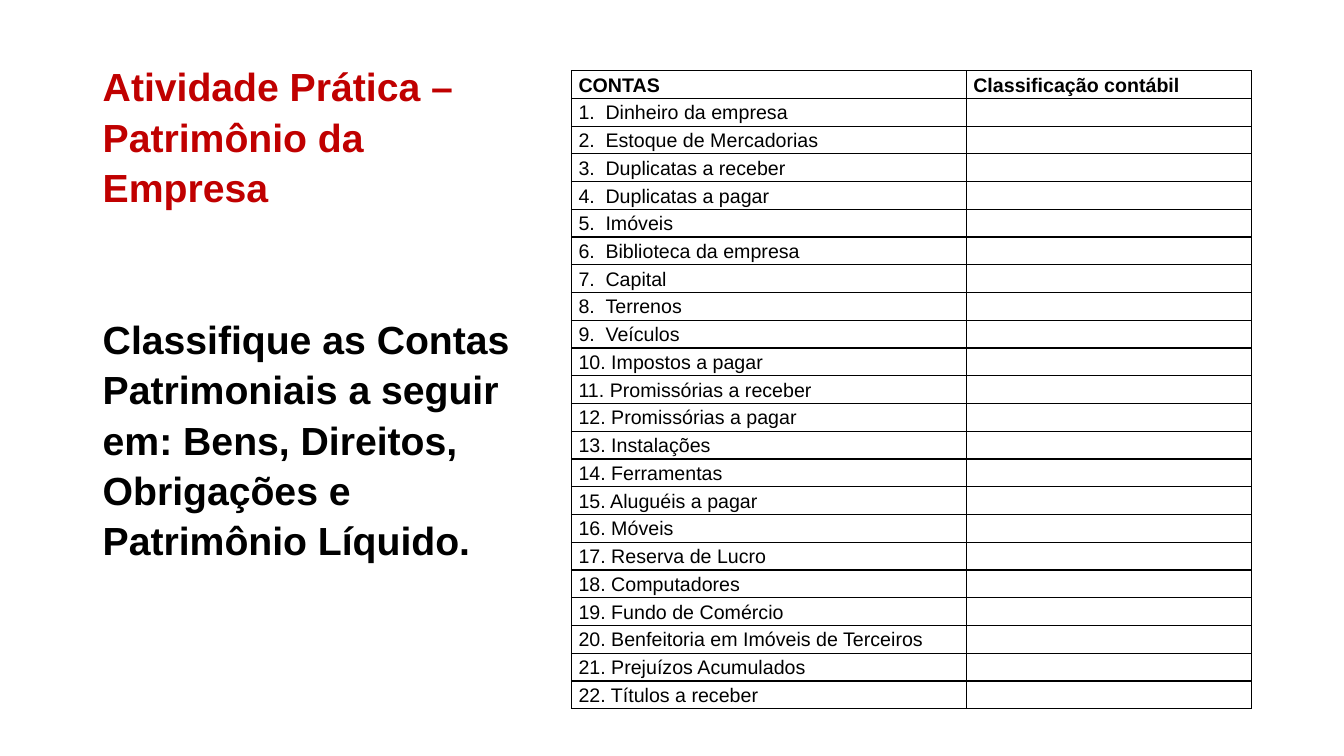
import pptx
import pptx.dml.color
import pptx.enum.text
import pptx.oxml
import pptx.oxml.ns
import pptx.util
from lxml import etree
from pptx.util import Cm

COLORS = {"heading": "C00000", "text": "000000", "border": "000000"}
FONT = "Arial"
ROW_HEIGHT = Cm(0.7)
COLUMN_WIDTHS = (Cm(9.95), Cm(7.19))
ACCOUNTS = (
    "Dinheiro da empresa", "Estoque de Mercadorias", "Duplicatas a receber",
    "Duplicatas a pagar", "Imóveis", "Biblioteca da empresa", "Capital",
    "Terrenos", "Veículos", "Impostos a pagar", "Promissórias a receber",
    "Promissórias a pagar", "Instalações", "Ferramentas", "Aluguéis a pagar",
    "Móveis", "Reserva de Lucro", "Computadores", "Fundo de Comércio",
    "Benfeitoria em Imóveis de Terceiros", "Prejuízos Acumulados",
    "Títulos a receber",
)


def add_element(parent, tag, **attributes):
    return etree.SubElement(parent, pptx.oxml.ns.qn(tag), **attributes)


def style_font(font, size, color, bold):
    font.name = FONT
    font.size = pptx.util.Pt(size)
    font.bold = bold
    font.color.rgb = pptx.dml.color.RGBColor.from_string(COLORS[color])


def add_instructions(slide):
    frame = slide.shapes.add_textbox(Cm(2.34), Cm(1.49), Cm(10.92), Cm(12.7)).text_frame
    frame.word_wrap = True
    frame.margin_top = frame.margin_bottom = 0
    heading = frame.paragraphs[0]
    task = frame.add_paragraph()
    heading.text = "Atividade Prática – Patrimônio da Empresa"
    task.text = ("Classifique as Contas Patrimoniais a seguir em: Bens, Direitos, "
                 "Obrigações e Patrimônio Líquido.")
    task.space_before = pptx.util.Pt(72.5)
    for paragraph, color in ((heading, "heading"), (task, "text")):
        paragraph.line_spacing = pptx.util.Pt(36)
        style_font(paragraph.font, 28, color, True)


def draw_borders(cell):
    properties = cell._tc.get_or_add_tcPr()
    for side in ("a:lnL", "a:lnR", "a:lnT", "a:lnB"):
        line = add_element(properties, side, w=str(pptx.util.Pt(1)))
        fill = add_element(line, "a:solidFill")
        add_element(fill, "a:srgbClr", val=COLORS["border"])


def fill_cell(cell, text, bold=False):
    draw_borders(cell)
    cell.fill.background()
    cell.margin_left = cell.margin_right = Cm(0.18)
    cell.margin_top = cell.margin_bottom = 0
    cell.vertical_anchor = pptx.enum.text.MSO_ANCHOR.MIDDLE
    paragraph = cell.text_frame.paragraphs[0]
    paragraph.text = text
    paragraph.line_spacing = 1.07
    if "\t" in text:
        tabs = add_element(paragraph._p.get_or_add_pPr(), "a:tabLst")
        add_element(tabs, "a:tab", pos=str(Cm(0.68)), algn="l")
    style_font(paragraph.font, 14, "text", bold)
    if not text:
        # Keeps an empty cell from growing past the row height
        add_element(paragraph._p, "a:endParaRPr", sz="1400")


def add_accounts_table(slide):
    rows = len(ACCOUNTS) + 1
    table = slide.shapes.add_table(
        rows, len(COLUMN_WIDTHS), Cm(14.4), Cm(1.78),
        sum(COLUMN_WIDTHS), ROW_HEIGHT * rows).table
    table.first_row = table.horz_banding = False
    for column, width in zip(table.columns, COLUMN_WIDTHS):
        column.width = width

    # Header row
    for column, label in enumerate(("CONTAS", "Classificação contábil")):
        fill_cell(table.cell(0, column), label, bold=True)

    # Numbered accounts, with an empty cell for each answer
    for number, account in enumerate(ACCOUNTS, start=1):
        gap = "\t" if number < 10 else " "
        fill_cell(table.cell(number, 0), f"{number}.{gap}{account}")
        fill_cell(table.cell(number, 1), "")


def main():
    presentation = pptx.Presentation()
    presentation.slide_width = Cm(33.87)
    presentation.slide_height = Cm(19.05)
    slide = presentation.slides.add_slide(presentation.slide_layouts[6])
    add_instructions(slide)
    add_accounts_table(slide)
    presentation.save("out.pptx")


if __name__ == "__main__":
    main()
